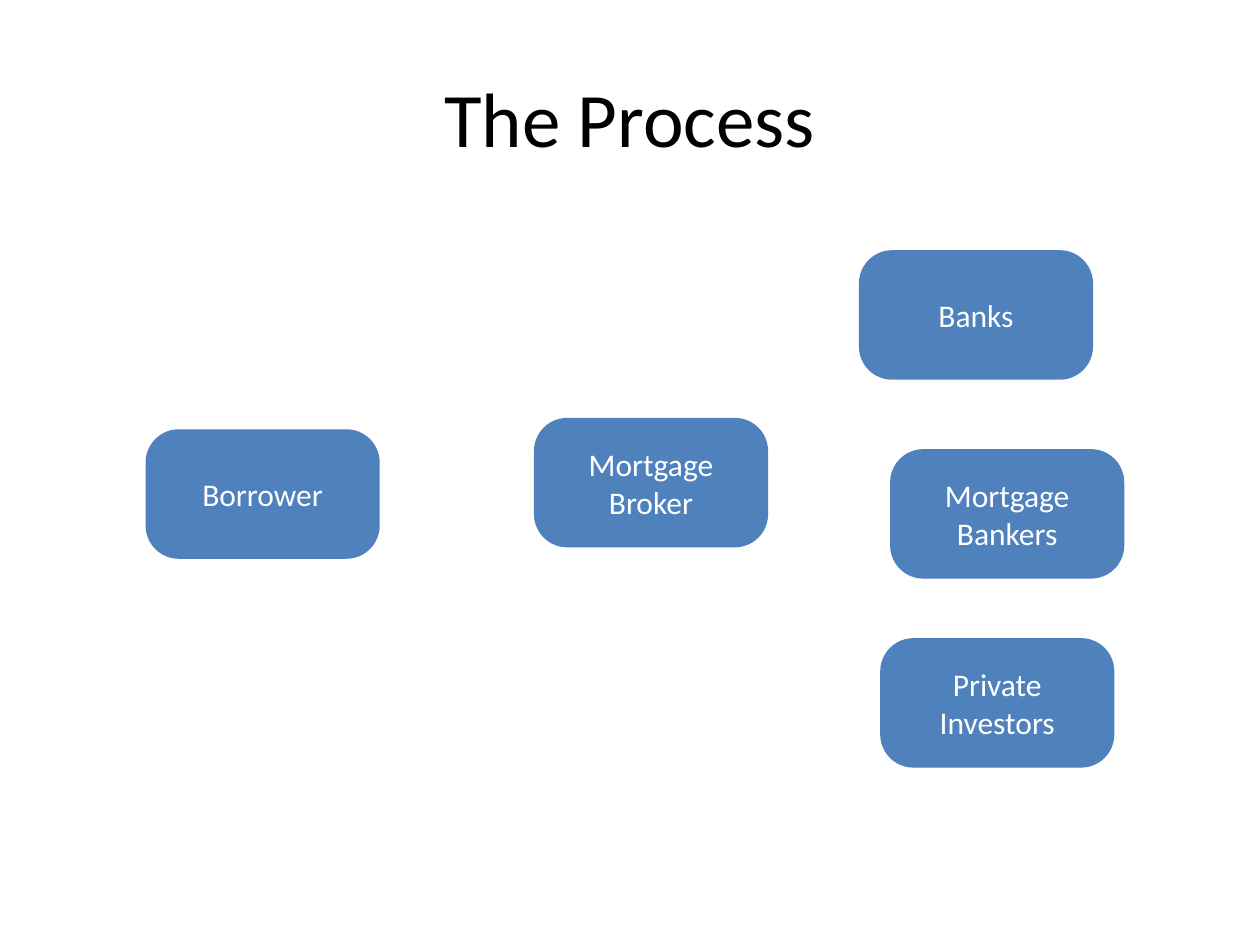
from dataclasses import dataclass

from pptx import Presentation
from pptx import util as u
from pptx.dml.color import RGBColor
from pptx.enum import shapes, text
from pptx.slide import Slide
from pptx.text.text import TextFrame

FONT = "Calibri"
BLUE = "4F81BD"
WHITE = "FFFFFF"
BLACK = "000000"
PARTY_WIDTH, PARTY_HEIGHT = u.Cm(4.65), u.Cm(2.54)


@dataclass(frozen=True)
class Party:
    """One participant in the process, placed by its top left corner in cm."""
    lines: tuple[str, ...]
    left: float
    top: float


PARTIES = (
    Party(("Borrower",), 2.97, 8.69),
    Party(("Mortgage", "Broker"), 10.8, 8.46),
    Party(("Banks",), 17.35, 5.08),
    Party(("Mortgage", "Bankers"), 17.98, 9.09),
    Party(("Private", "Investors"), 17.78, 12.9),
)


def rgb(value: str) -> RGBColor:
    return RGBColor.from_string(value)


def write_lines(frame: TextFrame, lines: tuple[str, ...], size: int, color: str) -> None:
    """Write each line as a centred paragraph."""
    frame.word_wrap = True
    frame.vertical_anchor = text.MSO_ANCHOR.MIDDLE
    for index, line in enumerate(lines):
        paragraph = frame.add_paragraph() if index else frame.paragraphs[0]
        paragraph.alignment = text.PP_ALIGN.CENTER
        run = paragraph.add_run()
        run.text = line
        run.font.name = FONT
        run.font.size = u.Pt(size)
        run.font.color.rgb = rgb(color)


def draw_party(slide: Slide, party: Party) -> None:
    box = slide.shapes.add_shape(
        shapes.MSO_SHAPE.ROUNDED_RECTANGLE,
        u.Cm(party.left), u.Cm(party.top), PARTY_WIDTH, PARTY_HEIGHT,
    )
    box.adjustments[0] = 0.25
    box.shadow.inherit = False
    box.fill.solid()
    box.fill.fore_color.rgb = rgb(BLUE)
    box.line.color.rgb = rgb(BLUE)
    box.line.width = u.Pt(2)
    write_lines(box.text_frame, party.lines, 18, WHITE)


def main() -> None:
    deck = Presentation()
    deck.slide_width, deck.slide_height = u.Cm(25.4), u.Cm(19.05)
    slide = deck.slides.add_slide(deck.slide_layouts.get_by_name("Title Only"))

    title = slide.shapes.title
    title.left, title.top = u.Cm(1.27), u.Cm(0.76)
    title.width, title.height = u.Cm(22.86), u.Cm(3.18)
    write_lines(title.text_frame, ("The Process",), 44, BLACK)

    for party in PARTIES:
        draw_party(slide, party)

    deck.save("out.pptx")


if __name__ == "__main__":
    main()
